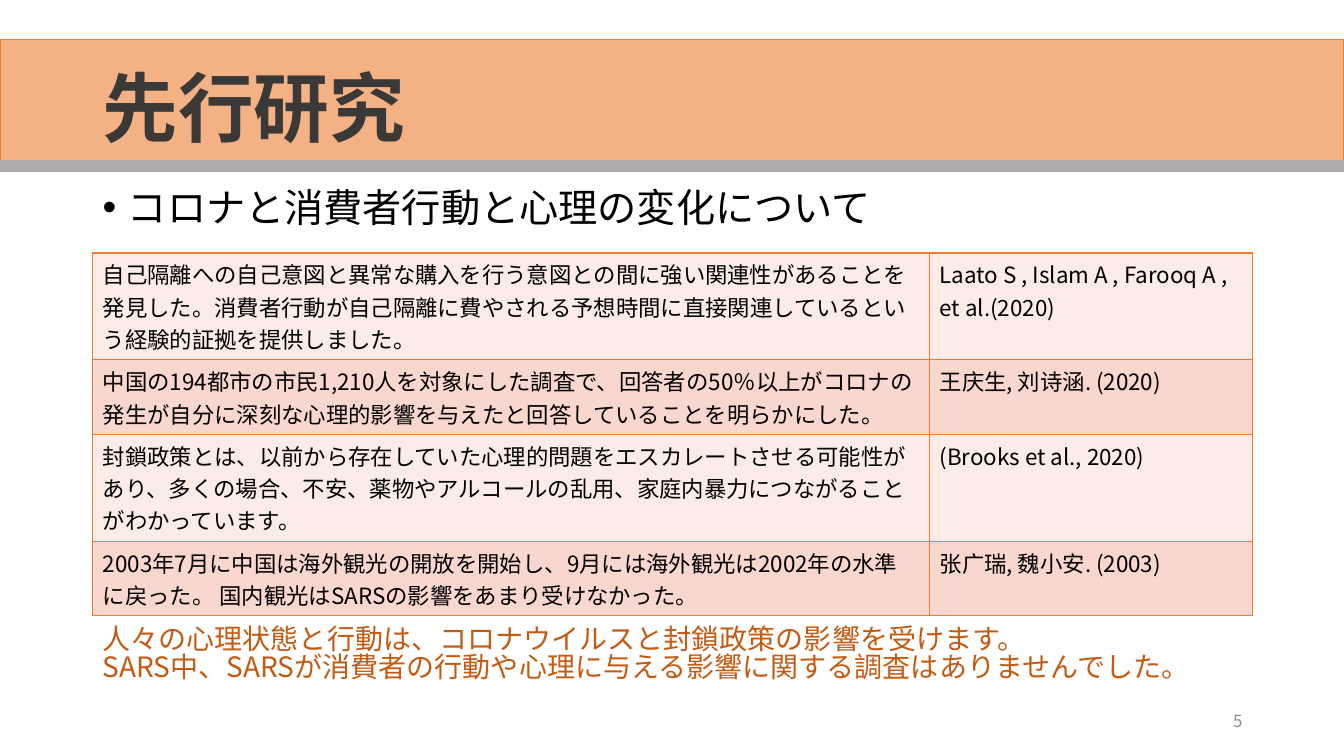
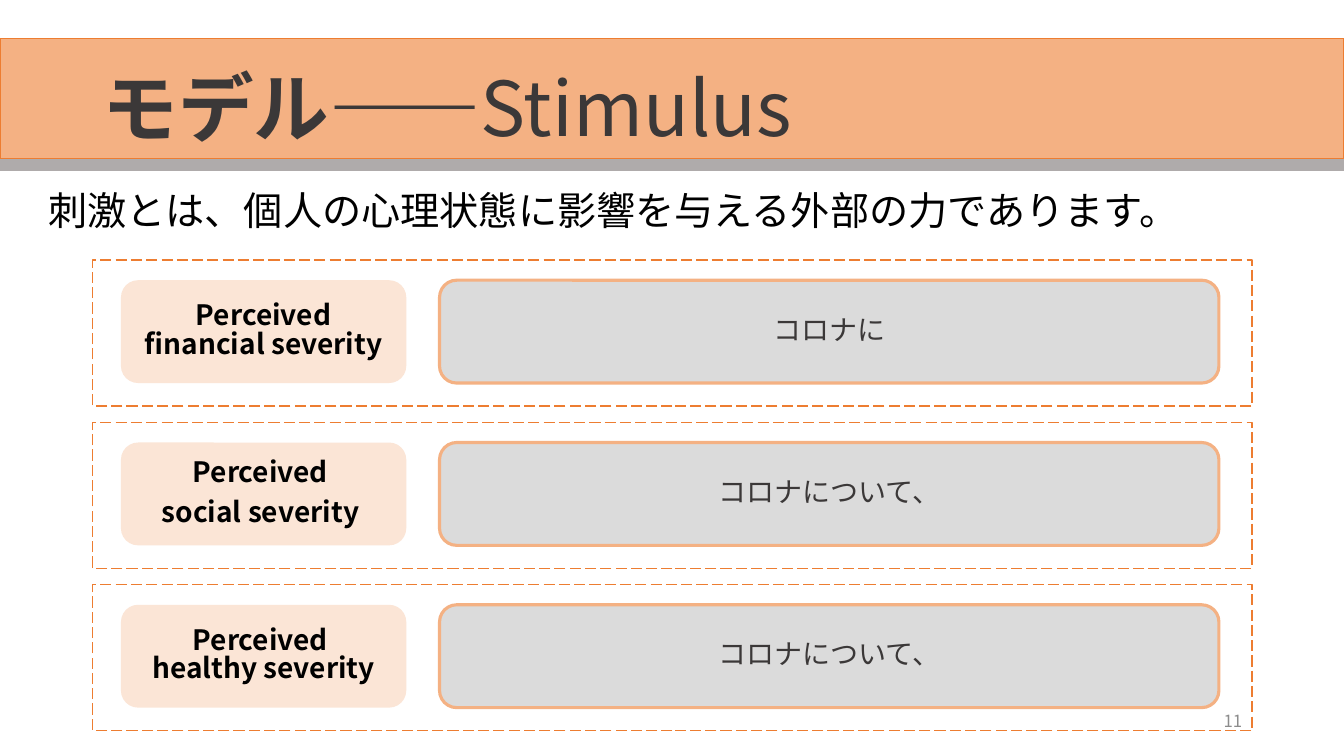
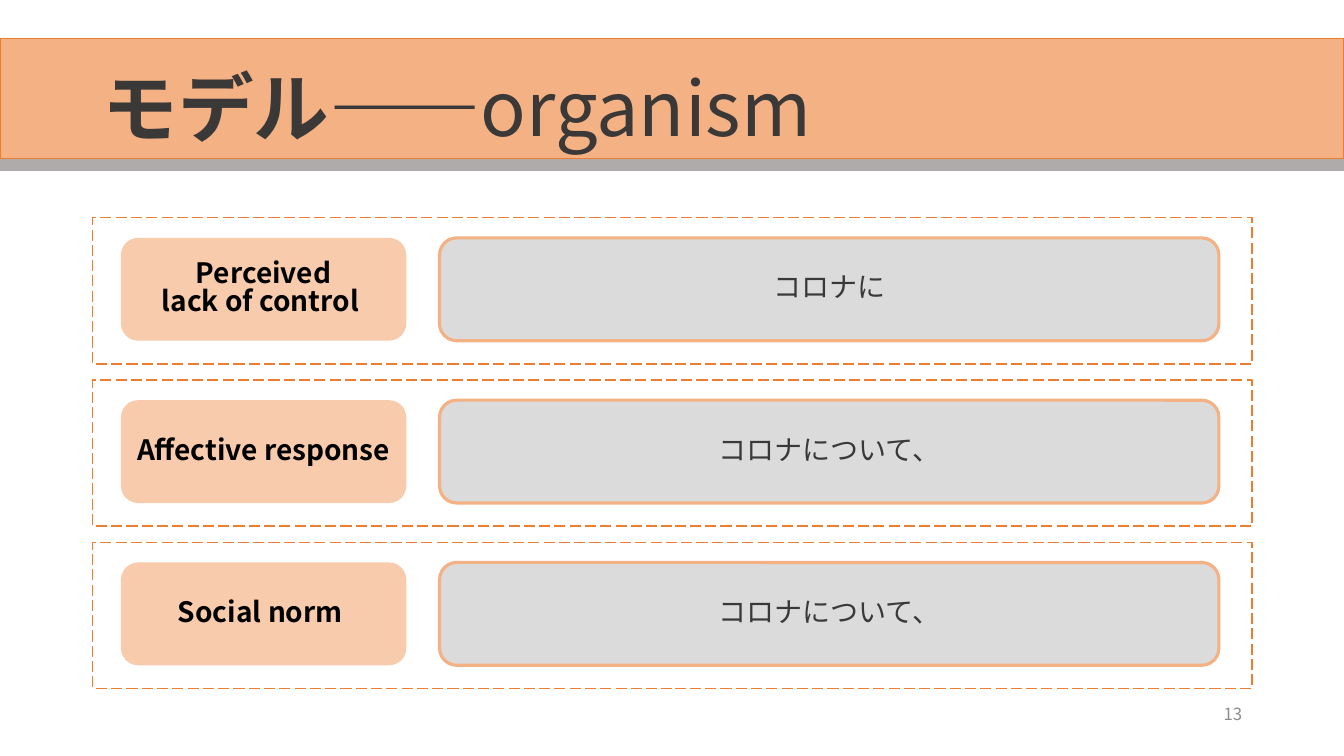
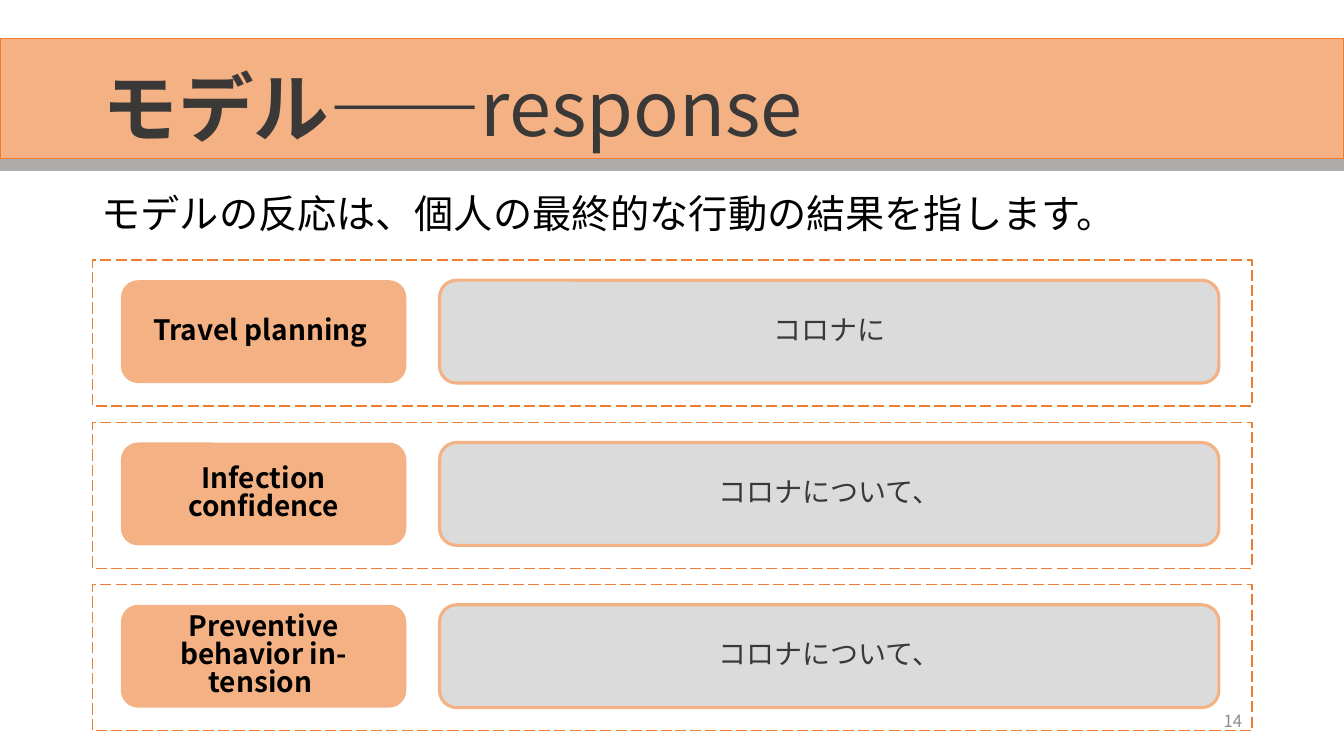
from lxml import etree
from pptx import Presentation
from pptx import util as u
from pptx.dml.color import RGBColor
from pptx.enum import dml, shapes, text
from pptx.oxml import ns

SCALE = 9144  # EMU in one px, 100 px to the inch
FONT = "Noto Sans CJK JP"
ORANGE, PEACH, GREY, PALE_GREY = "ED7D31", "F4B183", "AFABAB", "DBDBDB"
BLACK, DARK, NUMBER_GREY, RUST = "000000", "3B3838", "8C8C8C", "C55A11"
TABLE_TINTS = ("FCECE8", "F8D7CE")
TIGHT = 0.84
LEFT, WIDTH = 92, 1150


def px(length):
    return u.Emu(length * SCALE)


def color(value):
    return RGBColor.from_string(value)


def add_child(parent, tag, **attributes):
    return etree.SubElement(parent, ns.qn(tag), attributes)


def add_text(para, content, size=20, ink=BLACK, bold=False):
    span = para.add_run()
    span.text = content
    font = span.font
    font.name, font.size, font.bold = FONT, u.Pt(size), bold
    font.color.rgb = color(ink)
    latin = span.font._element.find(ns.qn("a:latin"))
    east_asian = etree.Element(ns.qn("a:ea"), typeface=FONT)
    latin.addnext(east_asian)


def write(frame, content, align="LEFT", anchor="TOP", spacing=None, gap=0, **style):
    """Fill a text frame with one paragraph for each line of content."""
    frame.word_wrap = True
    frame.vertical_anchor = getattr(text.MSO_ANCHOR, anchor)
    for index, line in enumerate(content.split("\n")):
        para = frame.add_paragraph() if index else frame.paragraphs[0]
        para.alignment = getattr(text.PP_ALIGN, align)
        para.line_spacing = spacing
        if index:
            para.space_before = u.Pt(gap)
        add_text(para, line, **style)


class Slides:
    def __init__(self):
        self.deck = Presentation()
        self.deck.slide_width, self.deck.slide_height = px(1333), px(750)
        self.page = None

    def start(self, title, subtitle="", number="", band_top=38, number_top=695):
        self.page = self.deck.slides.add_slide(self.deck.slide_layouts[6])
        self.shape("RECTANGLE", 0, band_top, 1333, 120, fill=PEACH, line=ORANGE)
        self.shape("RECTANGLE", 0, band_top + 120, 1333, 11, fill=GREY, line=GREY)
        heading = self.text(title, LEFT, 40, WIDTH, 145, size=54, ink=DARK,
                            bold=True, anchor="MIDDLE", spacing=TIGHT)
        if subtitle:
            add_text(heading.paragraphs[0], subtitle, size=54, ink=DARK)
        self.text(number, 942, number_top, 300, 40, size=12, ink=NUMBER_GREY,
                  align="RIGHT", anchor="MIDDLE")

    def shape(self, kind, left, top, width, height, fill=None, line=None,
              weight=1, dashed=False):
        preset = getattr(shapes.MSO_SHAPE, kind)
        shape = self.page.shapes.add_shape(preset, px(left), px(top), px(width), px(height))
        shape.shadow.inherit = False
        if fill:
            shape.fill.solid()
            shape.fill.fore_color.rgb = color(fill)
        else:
            shape.fill.background()
        if line:
            shape.line.color.rgb = color(line)
            shape.line.width = u.Pt(weight)
        else:
            shape.line.fill.background()
        if dashed:
            shape.line.dash_style = dml.MSO_LINE.LONG_DASH
        return shape

    def text(self, content, left, top, width, height, **style):
        box = self.page.shapes.add_textbox(px(left), px(top), px(width), px(height))
        write(box.text_frame, content, **style)
        return box.text_frame

    def bullet(self, content, left, top, width, height, **style):
        para = self.text(content, left, top, width, height, **style).paragraphs[0]
        properties = para._p.get_or_add_pPr()
        properties.set("marL", str(px(25)))
        properties.set("indent", str(-px(25)))
        add_child(properties, "a:buFont", typeface="Arial")
        add_child(properties, "a:buChar", char="•")

    def table(self, rows, left, top, widths, heights):
        table = self.page.shapes.add_table(
            len(rows), len(widths), px(left), px(top),
            px(sum(widths)), px(sum(heights))).table
        for column, width in zip(table.columns, widths):
            column.width = px(width)
        for index, (row, height) in enumerate(zip(rows, heights)):
            table.rows[index].height = px(height)
            for column, content in enumerate(row):
                cell = table.cell(index, column)
                cell.fill.solid()
                cell.fill.fore_color.rgb = color(TABLE_TINTS[index % 2])
                write(cell.text_frame, content, size=16)
                self.border(cell)

    def border(self, cell):
        properties = cell._tc.get_or_add_tcPr()
        for index, side in enumerate(("a:lnL", "a:lnR", "a:lnT", "a:lnB")):
            edge = etree.Element(ns.qn(side), w=str(u.Pt(1)))
            add_child(add_child(edge, "a:solidFill"), "a:srgbClr", val=ORANGE)
            properties.insert(index, edge)

    def panel(self, top, label, answer, fill, gap=0):
        """Draw a dashed frame holding a label and its answer."""
        name = self.shape("ROUNDED_RECTANGLE", 120, top + 20, 283, 102, fill=fill)
        write(name.text_frame, label, bold=True, align="CENTER", anchor="MIDDLE",
              spacing=TIGHT, gap=gap)
        self.shape("RECTANGLE", LEFT, top, WIDTH, 145, line=ORANGE, dashed=True)
        reply = self.shape("ROUNDED_RECTANGLE", 436, top + 20, 773, 102,
                           fill=PALE_GREY, line=PEACH, weight=2.25)
        write(reply.text_frame, answer, ink=DARK, align="CENTER", anchor="MIDDLE",
              spacing=TIGHT)

    def panels(self, labels, fill, top=258, gaps=(0, 0, 0)):
        answers = ("コロナに", "コロナについて、", "コロナについて、")
        for index, (label, answer, gap) in enumerate(zip(labels, answers, gaps)):
            self.panel(top + index * 161, label, answer, fill, gap)


STUDIES = [
    ("自己隔離への自己意図と異常な購入を行う意図との間に強い関連性があることを発見した。"
     "消費者行動が自己隔離に費やされる予想時間に直接関連しているという経験的証拠を提供しました。",
     "Laato S , Islam A , Farooq A , et al.(2020)"),
    ("中国の194都市の市民1,210人を対象にした調査で、回答者の50％以上がコロナの発生が"
     "自分に深刻な心理的影響を与えたと回答していることを明らかにした。",
     "王庆生, 刘诗涵. (2020)"),
    ("封鎖政策とは、以前から存在していた心理的問題をエスカレートさせる可能性があり、"
     "多くの場合、不安、薬物やアルコールの乱用、家庭内暴力につながることがわかっています。",
     "(Brooks et al., 2020)"),
    ("2003年7月に中国は海外観光の開放を開始し、9月には海外観光は2002年の水準に戻った。 "
     "国内観光はSARSの影響をあまり受けなかった。",
     "张广瑞, 魏小安. (2003)"),
]


def main():
    slides = Slides()

    slides.start("先行研究", number="5", band_top=39)
    slides.bullet("コロナと消費者行動と心理の変化について", LEFT, 187, 1201, 47,
                  size=28, spacing=0.78)
    slides.table(STUDIES, LEFT, 251, (830, 320), (106, 74, 106, 74))
    slides.text("人々の心理状態と行動は、コロナウイルスと封鎖政策の影響を受けます。\n"
                "SARS中、SARSが消費者の行動や心理に与える影響に関する調査はありませんでした。",
                LEFT, 617, WIDTH, 77, ink=RUST, spacing=TIGHT)

    slides.start("モデル——", "Stimulus", number="11")
    slides.text("刺激とは、個人の心理状態に影響を与える外部の力であります。",
                38, 185, 1203, 57, size=28, spacing=0.9)
    slides.panels(("Perceived financial severity", "Perceived \nsocial severity ",
                   "Perceived \nhealthy severity"), "FBE5D6", gaps=(0, 8, 0))

    slides.start("モデル——", "organism", number="13", number_top=688)
    slides.panels(("Perceived\nlack of control ", "Affective response ",
                   "Social norm "), "F8CBAD", top=216)

    slides.start("モデル——", "response", number="14")
    slides.text("モデルの反応は、個人の最終的な行動の結果を指します。",
                91, 188, WIDTH, 57, size=28, spacing=0.9)
    slides.panels(("Travel planning ", "Infection confidence",
                   "Preventive behavior in-\ntension "), PEACH)

    slides.deck.save("out.pptx")


if __name__ == "__main__":
    main()
